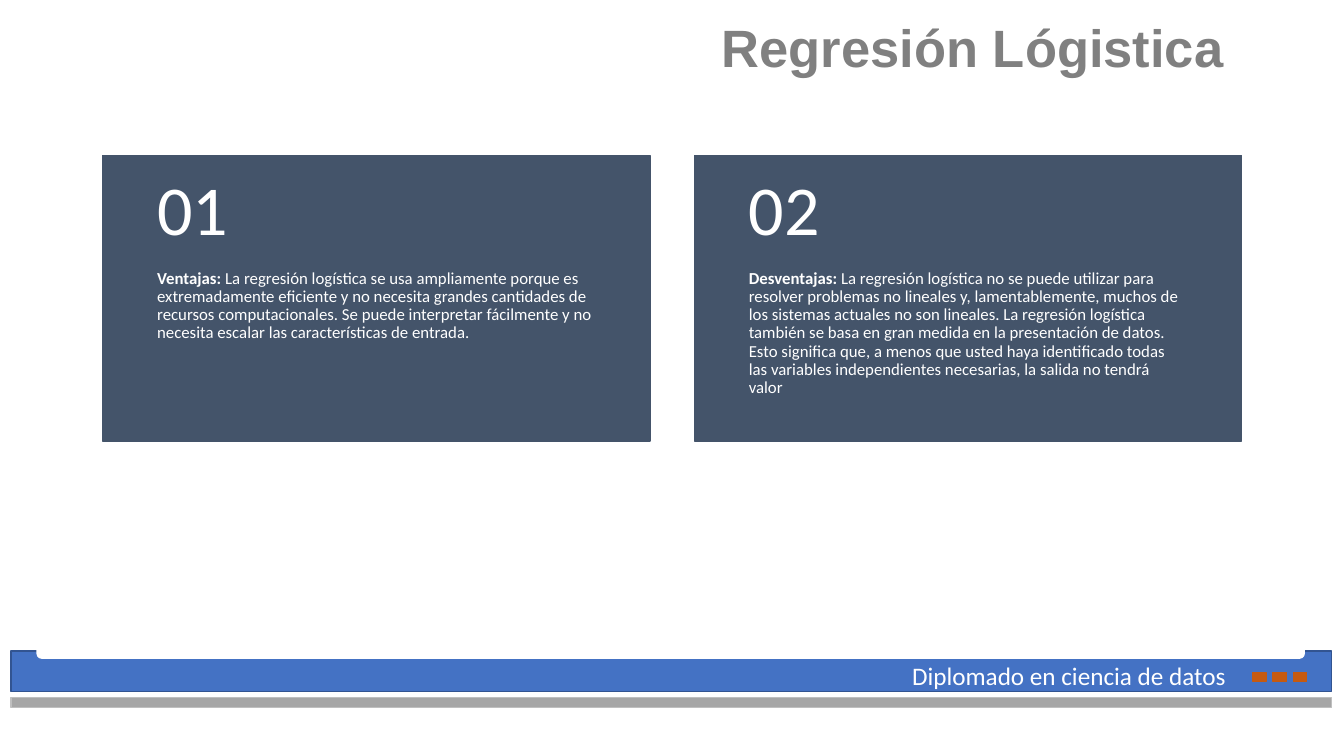
from dataclasses import dataclass

from pptx import Presentation
from pptx.dml.color import RGBColor
from pptx.enum.shapes import MSO_SHAPE as Shape
from pptx.enum.text import MSO_ANCHOR as Anchor, MSO_AUTO_SIZE as AutoSize, PP_ALIGN as Align
from pptx.util import Pt


@dataclass(frozen=True)
class Theme:
    white: str = "FFFFFF"
    title: str = "808080"
    card: str = "44546A"
    band: str = "4472C4"
    band_line: str = "325491"
    strip: str = "A6A6A6"
    strip_line: str = "BFBFBF"
    accent: str = "C55A11"
    title_font: str = "Arial"
    body_font: str = "Calibri"
    title_size: float = 37.5
    number_size: float = 50
    footer_size: float = 18
    body_size: float = 12


THEME = Theme()

CARDS = [
    ("01", "Ventajas: ",
     "La regresión logística se usa ampliamente porque es extremadamente eficiente "
     "y no necesita grandes cantidades de recursos computacionales. Se puede "
     "interpretar fácilmente y no necesita escalar las características de entrada."),
    ("02", "Desventajas: ",
     "La regresión logística no se puede utilizar para resolver problemas no lineales "
     "y, lamentablemente, muchos de los sistemas actuales no son lineales. La regresión "
     "logística también se basa en gran medida en la presentación de datos. Esto "
     "significa que, a menos que usted haya identificado todas las variables "
     "independientes necesarias, la salida no tendrá valor"),
]


def set_attrs(target, values):
    for name, value in values.items():
        setattr(target, name, value)


def place(shape, box):
    set_attrs(shape, dict(zip(("left", "top", "width", "height"), map(Pt, box))))


def add_block(shapes, box, fill, line, kind=Shape.RECTANGLE):
    sp = shapes.add_shape(kind, *map(Pt, box))
    sp.shadow.inherit = False
    sp.fill.solid()
    sp.fill.fore_color.rgb = RGBColor.from_string(fill)
    sp.line.color.rgb = RGBColor.from_string(line)
    sp.line.width = Pt(1)


def add_run(p, text, size, color=THEME.white, font=THEME.body_font, bold=False):
    r = p.add_run()
    r.text = text
    set_attrs(r.font, {"name": font, "size": Pt(size), "bold": bold})
    r.font.color.rgb = RGBColor.from_string(color)


def format_frame(tf, anchor=Anchor.TOP, insets=(7.2, 3.6, 7.2, 3.6)):
    sides = ("margin_left", "margin_top", "margin_right", "margin_bottom")
    set_attrs(tf, {"word_wrap": True, "auto_size": AutoSize.NONE,
                   "vertical_anchor": anchor, **dict(zip(sides, map(Pt, insets)))})


def add_text(shapes, box, runs, size, line_spacing=1.0, **frame):
    tf = shapes.add_textbox(*map(Pt, box)).text_frame
    format_frame(tf, **frame)
    p = tf.paragraphs[0]
    p.line_spacing = line_spacing
    for text, bold in runs:
        add_run(p, text, size, bold=bold)


def set_title(s, text):
    title = s.shapes.title
    place(title, (467.3, 19.4, 424.8, 67.7))
    tf = title.text_frame
    format_frame(tf, insets=(7.2, 3.6, 17.6, 3.6))
    p = tf.paragraphs[0]
    set_attrs(p, {"alignment": Align.RIGHT, "line_spacing": 0.7, "space_before": Pt(0)})
    add_run(p, text, THEME.title_size, THEME.title, THEME.title_font, True)


def add_footer(s, text):
    shapes = s.shapes.add_group_shape().shapes
    add_block(shapes, (7.9, 465.1, 943.2, 28.8), THEME.band, THEME.band_line)
    add_block(shapes, (26.6, 451.4, 905, 18.7), THEME.white, THEME.white,
              Shape.ROUNDED_RECTANGLE)
    add_block(shapes, (7.9, 498.2, 943.2, 7.2), THEME.strip, THEME.strip_line)
    for i in range(3):
        add_block(shapes, (895 + 14.4 * i, 480.2, 9.4, 6.5), THEME.accent, THEME.accent)
    add_text(shapes, (644.4, 468, 248.4, 28.8), [(text, False)], THEME.footer_size)


def add_card(s, left, number, heading, body):
    top, width, head_height, body_height = 110.9, 391, 82, 122
    shapes = s.shapes.add_group_shape().shapes
    add_block(shapes, (left, top, width, head_height + body_height), THEME.card, THEME.card)
    add_text(shapes, (left, top + head_height, width, body_height),
             [(heading, True), (body, False)], THEME.body_size, 0.9,
             insets=(38.9, 0, 38.9, 25.9))
    add_text(shapes, (left, top, width, head_height), [(number, False)],
             THEME.number_size, 0.9, anchor=Anchor.MIDDLE, insets=(38.9, 13, 38.9, 13))


def main():
    prs = Presentation()
    set_attrs(prs, {"slide_width": Pt(960), "slide_height": Pt(540)})
    s = prs.slides.add_slide(prs.slide_layouts[5])
    set_title(s, "Regresión Lógistica")
    add_footer(s, "Diplomado en ciencia de datos")
    for i, card in enumerate(CARDS):
        add_card(s, 73.4 + 422.6 * i, *card)
    prs.save("out.pptx")


if __name__ == "__main__":
    main()
